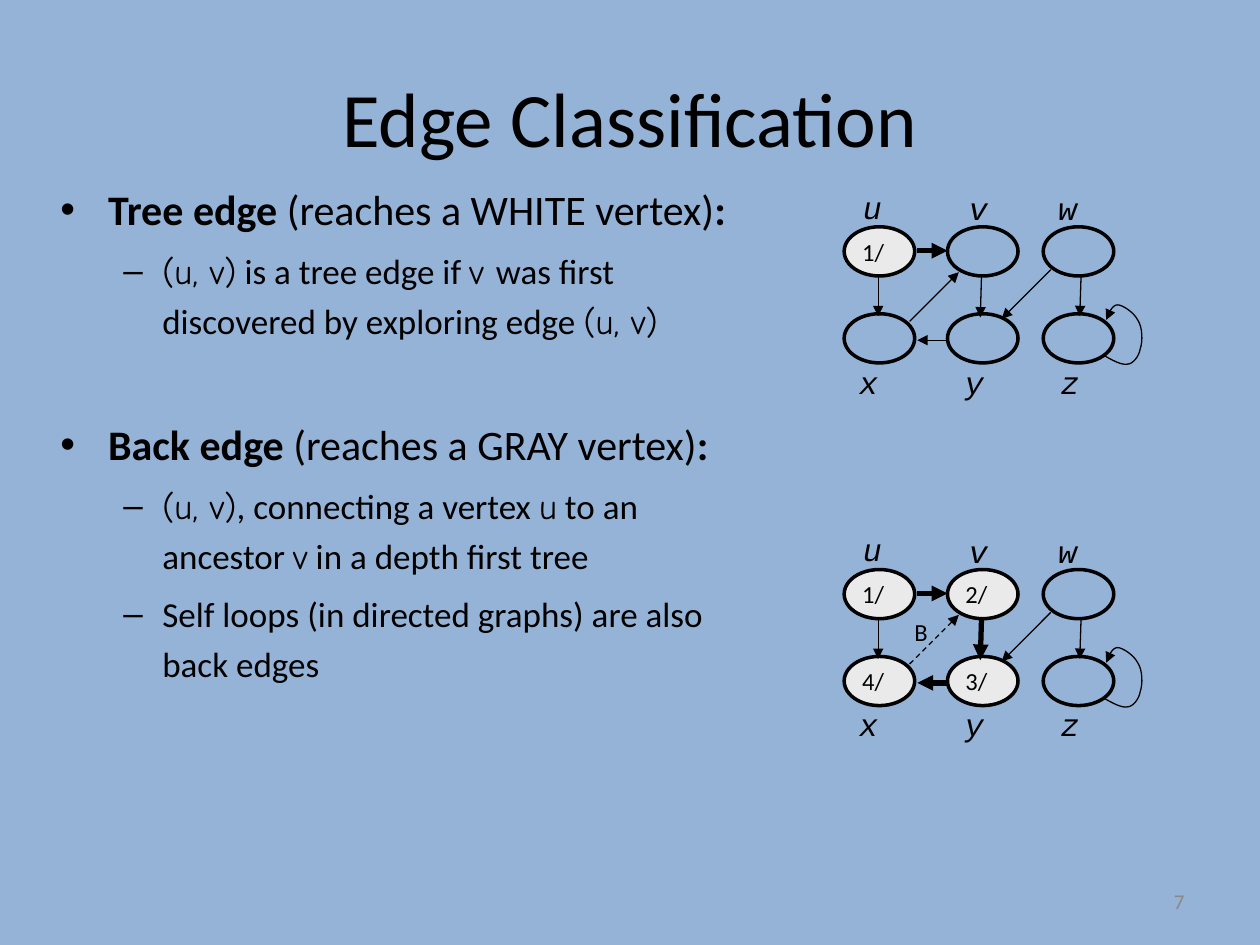
from lxml.etree import SubElement
from pptx import Presentation
from pptx.dml.color import RGBColor
from pptx.enum.dml import MSO_LINE
from pptx.enum.shapes import MSO_CONNECTOR, MSO_SHAPE
from pptx.enum.text import MSO_ANCHOR, PP_ALIGN
from pptx.oxml.ns import qn
from pptx.util import Inches, Pt

COLORS = {name: RGBColor.from_string(value) for name, value in {
    "background": "95B3D7", "ink": "000000", "visited": "EAEAEA", "number": "898989",
}.items()}


def add_text(shapes, box, text, size, font="Calibri", color="ink", align=PP_ALIGN.LEFT, wrap=False):
    frame = shapes.add_textbox(*[Inches(v) for v in box]).text_frame
    frame.word_wrap = wrap
    frame.text = text
    paragraph = frame.paragraphs[0]
    paragraph.alignment = align
    paragraph.font.size = Pt(size)
    paragraph.font.name = font
    paragraph.font.color.rgb = COLORS[color]
    return frame


def style_arrow(arrow, width, dashed=False):
    arrow.line.color.rgb = COLORS["ink"]
    arrow.line.width = Pt(width)
    if dashed:
        arrow.line.dash_style = MSO_LINE.DASH
    SubElement(arrow.line._get_or_add_ln(), qn("a:tailEnd"), type="triangle")
    SubElement(arrow._element.spPr, qn("a:effectLst"))


deck = Presentation()
deck.slide_width, deck.slide_height = Inches(10), Inches(7.5)
slide = deck.slides.add_slide(deck.slide_layouts[6])
slide.background.fill.solid()
slide.background.fill.fore_color.rgb = COLORS["background"]

# Title
title = add_text(slide.shapes, (0.5, 0.3, 9, 1.25), "Edge Classification", 44,
                 align=PP_ALIGN.CENTER, wrap=True)
title.vertical_anchor = MSO_ANCHOR.MIDDLE

# Definitions: level, space before, runs of (text, style)
definitions = [
    (0, 4.8, [("Tree edge ", "bold"), ("(reaches a WHITE vertex)", ""), (":", "bold")]),
    (1, 4, [("(u, v)", "math"), (" is a tree edge if ", ""), ("v ", "math"),
            ("was first discovered by exploring edge ", ""), ("(u, v)", "math")]),
    (0, 38, [("Back edge ", "bold"), ("(reaches a GRAY vertex)", ""), (":", "bold")]),
    (1, 4, [("(u, v)", "math"), (", connecting a vertex ", ""), ("u", "math"),
            (" to an ancestor ", ""), ("v", "math"), (" in a depth first tree", "")]),
    (1, 4, [("Self loops (in directed graphs) are also back edges", "")]),
]
levels = [("•", 24, 0.38, -0.38), ("–", 20, 0.81, -0.31)]
body = slide.shapes.add_textbox(Inches(0.38), Inches(1.33), Inches(5.52), Inches(5.86)).text_frame
body.word_wrap = True
for index, (level, space, runs) in enumerate(definitions):
    bullet, size, margin, indent = levels[level]
    paragraph = body.add_paragraph() if index else body.paragraphs[0]
    paragraph.level = level
    paragraph.line_spacing = 1.2
    paragraph.space_before = Pt(space)
    properties = paragraph._p.get_or_add_pPr()
    properties.set("marL", str(Inches(margin)))
    properties.set("indent", str(Inches(indent)))
    SubElement(properties, qn("a:buFont"), typeface="Arial")
    SubElement(properties, qn("a:buChar"), char=bullet)
    for text, style in runs:
        run = paragraph.add_run()
        run.text = text
        run.font.size = Pt(size)
        run.font.name = "Comic Neue" if style == "math" else "Calibri"
        run.font.bold = style == "bold"
        run.font.color.rgb = COLORS["ink"]

# Shared graph layout, relative to the first graph
columns = [6.7, 7.52, 8.28]
rows = [1.8, 2.49]
vertices = dict(zip("uvwxyz", [(x, y) for y in rows for x in columns]))
labels = {"u": (6.75, 1.44), "v": (7.59, 1.45), "w": (8.3, 1.45),
          "x": (6.72, 2.83), "y": (7.56, 2.83), "z": (8.32, 2.83)}
edges = {"ux": (6.97, 2.19, 6.97, 2.51), "vy": (7.79, 2.19, 7.78, 2.52),
         "wz": (8.58, 2.19, 8.57, 2.51), "uv": (7.28, 1.99, 7.52, 1.99),
         "yx": (7.52, 2.7, 7.28, 2.7), "wy": (8.34, 2.14, 7.95, 2.53),
         "xv": (7.22, 2.55, 7.61, 2.16)}
loop_start = (8.76, 2.82)
loop_curves = [((8.83, 2.86), (8.9, 2.9), (8.95, 2.89)),
               ((8.99, 2.89), (9.04, 2.83), (9.05, 2.77)),
               ((9.07, 2.71), (9.07, 2.6), (9.03, 2.54)),
               ((9, 2.48), (8.91, 2.42), (8.87, 2.42)),
               ((8.83, 2.42), (8.8, 2.48), (8.78, 2.54))]
STEPS = 8
loop_points = [loop_start]
for control_1, control_2, end in loop_curves:
    start = loop_points[-1]
    for t in [step / STEPS for step in range(1, STEPS + 1)]:
        loop_points.append(tuple(
            (1 - t) ** 3 * a + 3 * (1 - t) ** 2 * t * b + 3 * (1 - t) * t ** 2 * c + t ** 3 * d
            for a, b, c, d in zip(start, control_1, control_2, end)))

# Graphs: vertical offset, discovery times, tree edges, back edges
graphs = [(0, {"u": "1/"}, ["uv"], []),
          (2.72, {"u": "1/", "v": "2/", "y": "3/", "x": "4/"}, ["uv", "vy", "yx"], ["xv"])]
for offset, times, tree_edges, back_edges in graphs:
    graph = slide.shapes.add_group_shape().shapes

    # Vertices
    for name, (x, y) in vertices.items():
        vertex = graph.add_shape(MSO_SHAPE.OVAL, Inches(x), Inches(y + offset),
                                 Inches(0.56), Inches(0.39))
        vertex.shadow.inherit = False
        vertex.line.color.rgb = COLORS["ink"]
        vertex.line.width = Pt(2)
        if name not in times:
            vertex.fill.background()
            continue
        vertex.fill.solid()
        vertex.fill.fore_color.rgb = COLORS["visited"]
        frame = vertex.text_frame
        frame.word_wrap = False
        frame.vertical_anchor = MSO_ANCHOR.MIDDLE
        frame.margin_left, frame.margin_right = Inches(0.05), Inches(0.15)
        frame.text = times[name]
        paragraph = frame.paragraphs[0]
        paragraph.alignment = PP_ALIGN.CENTER
        paragraph.font.size = Pt(14)
        paragraph.font.name = "Calibri"
        paragraph.font.color.rgb = COLORS["ink"]

    # Vertex names
    for name, (x, y) in labels.items():
        label = add_text(graph, (x, y + offset, 0.32, 0.4), name, 18, "Courier New")
        label.paragraphs[0].font.italic = True

    # Edges
    for name, (x1, y1, x2, y2) in edges.items():
        edge = graph.add_connector(MSO_CONNECTOR.STRAIGHT, Inches(x1), Inches(y1 + offset),
                                   Inches(x2), Inches(y2 + offset))
        style_arrow(edge, 3 if name in tree_edges else 0.75, name in back_edges)

    # Self loop at z
    points = [(Inches(x), Inches(y + offset)) for x, y in loop_points]
    builder = graph.build_freeform(*points[0])
    builder.add_line_segments(points[1:], close=False)
    loop = builder.convert_to_shape()
    loop.fill.background()
    style_arrow(loop, 0.75)

    # Back edge mark
    if back_edges:
        add_text(graph, (7.16, 4.85, 0.33, 0.33), "B", 14)

# Slide number
number = add_text(slide.shapes, (7.17, 6.95, 2.33, 0.4), "7", 12, color="number",
                  align=PP_ALIGN.RIGHT, wrap=True)
number.vertical_anchor = MSO_ANCHOR.MIDDLE

deck.save("out.pptx")
